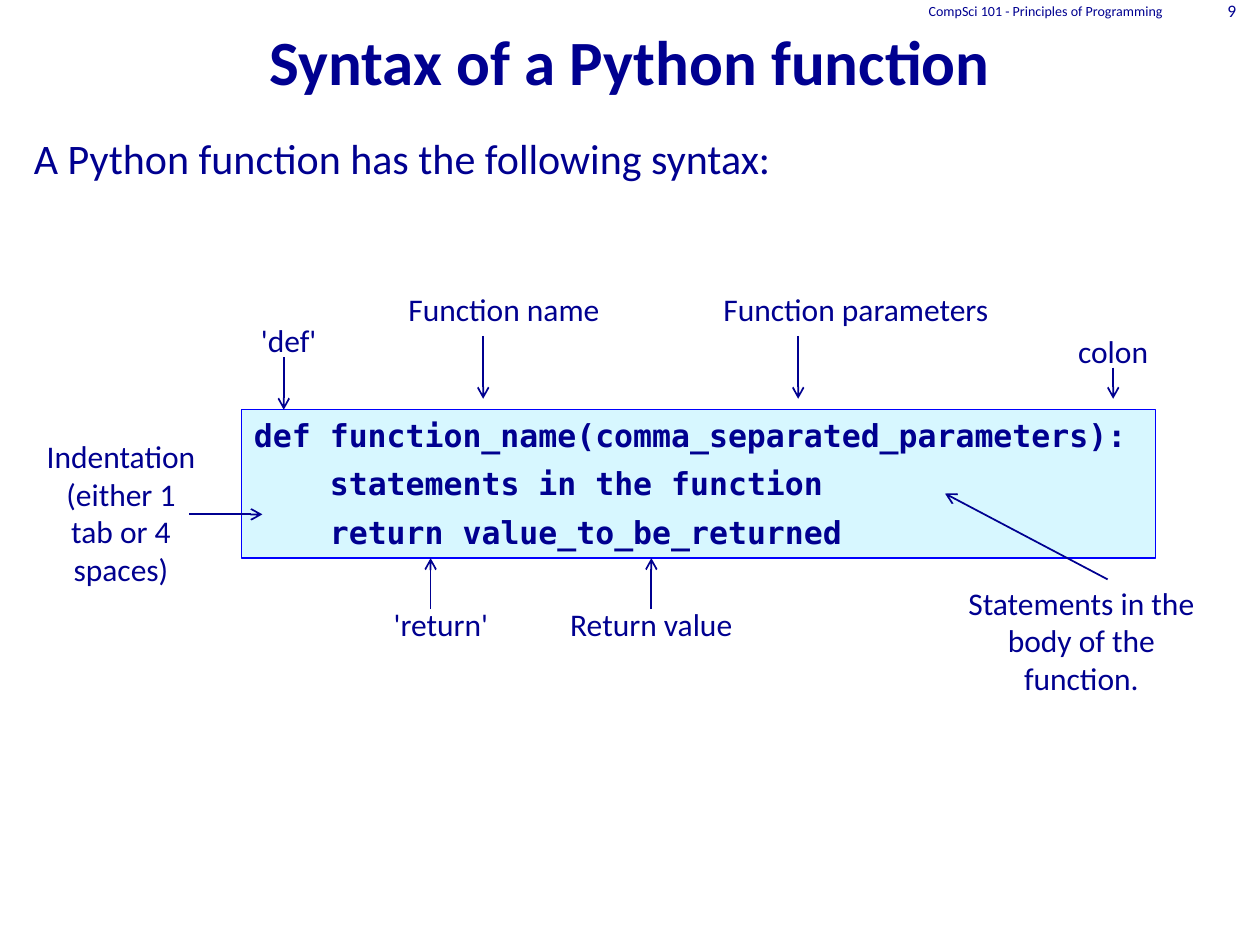
"""Build the slide that explains the syntax of a Python function."""
from dataclasses import dataclass

from lxml.etree import SubElement
from pptx import Presentation
from pptx.dml.color import RGBColor
from pptx.enum.shapes import MSO_CONNECTOR as Connector, MSO_SHAPE as Shape
from pptx.enum.text import MSO_ANCHOR as Anchor, PP_ALIGN as Align
from pptx.oxml.ns import qn
from pptx.shapes.shapetree import GroupShapes
from pptx.text.text import TextFrame
from pptx.util import Cm, Pt

NAVY = RGBColor(0x00, 0x00, 0x90)
BLUE = RGBColor(0x00, 0x00, 0xFF)
PALE_CYAN = RGBColor(0xD7, 0xF7, 0xFF)
TEXT_FONT = "Calibri"
CODE_FONT = "DejaVu Sans Mono"
CODE_INDENT = Cm(1.53)


@dataclass(frozen=True)
class Box:
    left: float
    top: float
    width: float
    height: float

    def lengths(self) -> tuple[Cm, Cm, Cm, Cm]:
        return Cm(self.left), Cm(self.top), Cm(self.width), Cm(self.height)


@dataclass(frozen=True)
class Callout:
    label: str
    box: Box
    start: tuple[float, float]
    end: tuple[float, float]


CODE_BOX = Box(4.87, 8.26, 18.42, 2.99)
CODE_TOP = CODE_BOX.top
CODE_BOTTOM = CODE_BOX.top + CODE_BOX.height
CODE_LINES = [
    ("def function_name(comma_separated_parameters):", 0),
    ("statements in the function", CODE_INDENT),
    ("return value_to_be_returned", CODE_INDENT),
]
CALLOUTS = [
    Callout("Function name", Box(7.62, 5.72, 5.08, 1.02), (9.74, 6.77), (9.74, 8.04)),
    Callout("Function parameters", Box(13.55, 5.72, 7.41, 1.02), (16.09, 6.77), (16.09, 8.04)),
    Callout("colon", Box(20.96, 6.56, 2.96, 1.02), (22.44, 7.41), (22.44, 8.04)),
    Callout("'def'", Box(4.55, 6.35, 2.54, 1.02), (5.72, 7.2), (5.72, CODE_TOP)),
    Callout("Indentation (either 1 tab or 4 spaces)", Box(0.64, 8.68, 3.6, 3.32),
            (3.81, 10.37), (5.29, 10.37)),
    Callout("Return value", Box(10.59, 12.07, 5.08, 1.02), (13.13, 12.28), (13.13, CODE_BOTTOM)),
    Callout("'return'", Box(7.41, 12.07, 2.96, 1.07), (8.68, 12.28), (8.68, CODE_BOTTOM)),
    Callout("Statements in the body of the function.", Box(19.26, 11.64, 5.08, 2.57),
            (22.33, 11.68), (19.05, 9.95)),
]


def format_text(frame: TextFrame, size: float, align: Align,
                font: str = TEXT_FONT, bold: bool = False) -> None:
    frame.word_wrap = True
    for paragraph in frame.paragraphs:
        paragraph.alignment = align
        for run in paragraph.runs:
            run.font.name = font
            run.font.size = Pt(size)
            run.font.bold = bold
            run.font.color.rgb = NAVY


def add_label(shapes: GroupShapes, text: str, box: Box, size: float,
              align: Align, anchor: Anchor = Anchor.TOP) -> None:
    frame = shapes.add_textbox(*box.lengths()).text_frame
    frame.text = text
    frame.vertical_anchor = anchor
    format_text(frame, size, align)


def add_arrow(shapes: GroupShapes, start: tuple[float, float], end: tuple[float, float]) -> None:
    arrow = shapes.add_connector(Connector.STRAIGHT, *map(Cm, start + end))
    arrow.line.color.rgb = NAVY
    arrow.line.width = Pt(1)
    SubElement(arrow.line._get_or_add_ln(), qn("a:tailEnd"), type="arrow")
    SubElement(arrow._element.spPr, qn("a:effectLst"))


def add_code(shapes: GroupShapes) -> None:
    code = shapes.add_shape(Shape.RECTANGLE, *CODE_BOX.lengths())
    code.shadow.inherit = False
    code.fill.solid()
    code.fill.fore_color.rgb = PALE_CYAN
    code.line.color.rgb = BLUE
    code.line.width = Pt(0.75)
    frame = code.text_frame
    frame.vertical_anchor = Anchor.TOP
    frame.text = "\n".join(line for line, _ in CODE_LINES)
    format_text(frame, 18, Align.LEFT, CODE_FONT, bold=True)
    for paragraph, (_, indent) in zip(frame.paragraphs, CODE_LINES):
        paragraph.space_before = Pt(6)
        paragraph._p.get_or_add_pPr().set("marL", str(int(indent)))


def main() -> None:
    deck = Presentation()
    deck.slide_width, deck.slide_height = Cm(25.4), Cm(19.05)
    slide = deck.slides.add_slide(deck.slide_layouts[1])

    title, intro = slide.shapes.title, slide.placeholders[1]
    title.left, title.top, title.width, title.height = Box(0, 0, 25.4, 2.11).lengths()
    title.text_frame.text = "Syntax of a Python function"
    title.text_frame.vertical_anchor = Anchor.BOTTOM
    format_text(title.text_frame, 36, Align.CENTER, bold=True)

    intro.left, intro.top, intro.width, intro.height = Box(0.43, 2.54, 24.97, 15.24).lengths()
    intro.text_frame.text = "A Python function has the following syntax:"
    format_text(intro.text_frame, 24, Align.LEFT)
    intro_format = intro.text_frame.paragraphs[0]._p.get_or_add_pPr()
    intro_format.set("marL", "0")
    intro_format.set("indent", "0")
    SubElement(intro_format, qn("a:buNone"))

    add_label(slide.shapes, "CompSci 101 - Principles of Programming",
              Box(16.08, 0, 7.62, 0.43), 8, Align.RIGHT, Anchor.MIDDLE)
    add_label(slide.shapes, "9", Box(23.7, 0, 1.47, 0.43), 10, Align.RIGHT, Anchor.MIDDLE)

    diagram = slide.shapes.add_group_shape().shapes
    add_code(diagram)
    for callout in CALLOUTS:
        add_label(diagram, callout.label, callout.box, 18, Align.CENTER)
    for callout in CALLOUTS:
        add_arrow(diagram, callout.start, callout.end)
    deck.save("out.pptx")


if __name__ == "__main__":
    main()
